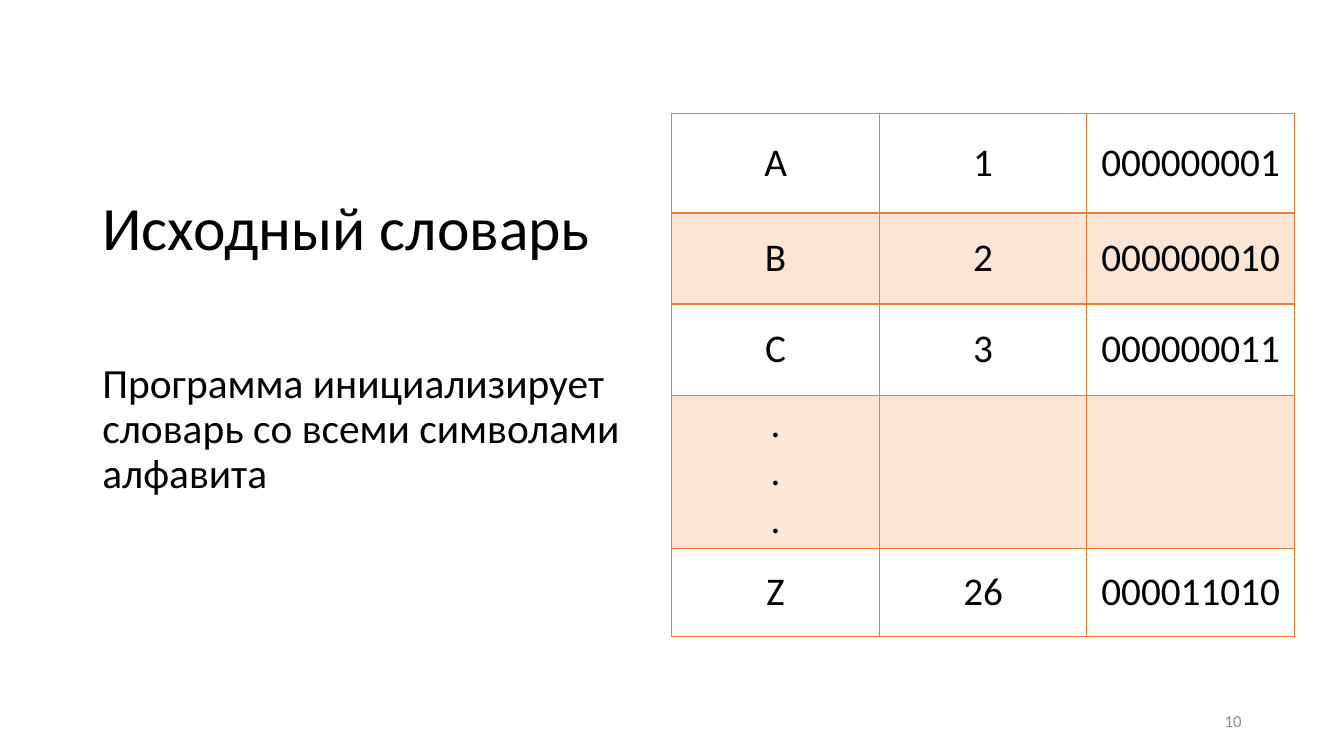
from dataclasses import dataclass

from lxml import etree
from pptx import Presentation
from pptx.dml.color import RGBColor
from pptx.enum.text import MSO_ANCHOR, PP_ALIGN
from pptx.oxml.ns import qn
from pptx.util import Cm, Pt

LEFT, CENTER, RIGHT = PP_ALIGN.LEFT, PP_ALIGN.CENTER, PP_ALIGN.RIGHT
TOP, MIDDLE = MSO_ANCHOR.TOP, MSO_ANCHOR.MIDDLE


@dataclass(frozen=True)
class Theme:
    font: str = "Calibri"
    text: str = "000000"
    muted: str = "8C8C8C"
    accent: str = "ED7D31"
    band_alpha: int = 20
    title_size: float = 44
    body_size: float = 29.6
    cell_size: float = 28
    number_size: float = 12
    rule: float = 1
    header_rule: float = 2


class SlideBuilder:
    def __init__(self, prs, theme):
        self.theme = theme
        self.s = prs.slides.add_slide(prs.slide_layouts[6])

    def style(self, p, size, color, align):
        p.alignment = align
        p.font.name = self.theme.font
        p.font.size = Pt(size)
        p.font.color.rgb = RGBColor.from_string(color)

    def text(self, text, left, top, width, height, size, color=None,
             align=LEFT, anchor=TOP, spacing=None):
        sp = self.s.shapes.add_textbox(Cm(left), Cm(top), Cm(width), Cm(height))
        tf = sp.text_frame
        tf.word_wrap = True
        tf.vertical_anchor = anchor
        p = tf.paragraphs[0]
        p.text = text
        p.line_spacing = spacing
        self.style(p, size, color or self.theme.text, align)

    def border(self, cell, side, width):
        tc_pr = cell._tc.get_or_add_tcPr()
        ln = etree.SubElement(tc_pr, qn(f"a:ln{side}"), w=str(Pt(width)))
        fill = etree.SubElement(ln, qn("a:solidFill"))
        etree.SubElement(fill, qn("a:srgbClr"), val=self.theme.accent)

    def band(self, cell):
        cell.fill.solid()
        cell.fill.fore_color.rgb = RGBColor.from_string(self.theme.accent)
        clr = cell._tc.tcPr.find(qn("a:solidFill")).find(qn("a:srgbClr"))
        etree.SubElement(clr, qn("a:alpha"), val=str(self.theme.band_alpha * 1000))

    def table(self, rows, left, top, col_width, heights):
        t = self.theme
        cols = len(rows[0])
        table = self.s.shapes.add_table(
            len(rows), cols, Cm(left), Cm(top),
            Cm(col_width * cols), Cm(sum(heights))).table
        table.first_row = table.horz_banding = False
        for col in table.columns:
            col.width = Cm(col_width)
        for i, values in enumerate(rows):
            table.rows[i].height = Cm(heights[i])
            for j, value in enumerate(values):
                cell = table.cell(i, j)
                cell.text = value
                cell.vertical_anchor = MIDDLE
                for p in cell.text_frame.paragraphs:
                    self.style(p, t.cell_size, t.text, CENTER)
                # The rule under the first row is heavier
                heavy = {0: "B", 1: "T"}.get(i)
                for side in "LRTB":
                    self.border(cell, side, t.header_rule if side == heavy else t.rule)
                if i % 2:
                    self.band(cell)
                else:
                    cell.fill.background()


def main():
    prs = Presentation()
    prs.slide_width, prs.slide_height = Cm(33.87), Cm(19.05)
    theme = Theme()
    slide = SlideBuilder(prs, theme)

    # Title and explanation
    slide.text("Исходный словарь", 2.33, 3.96, 13.2, 3.68,
               theme.title_size, anchor=MIDDLE, spacing=0.9)
    slide.text("Программа инициализирует словарь со всеми символами алфавита",
               2.33, 9.02, 13.6, 4.04, theme.body_size, spacing=0.9)

    # Initial dictionary: symbol, number, binary code
    rows = [
        ("A", "1", "000000001"),
        ("B", "2", "000000010"),
        ("C", "3", "000000011"),
        (".\n.\n.", "", ""),
        ("Z", "26", "000011010"),
    ]
    slide.table(rows, 16.93, 2.85, 5.23, [2.52, 2.29, 2.3, 3.86, 2.21])

    # Slide number
    slide.text("10", 23.92, 17.66, 7.62, 1.01, theme.number_size,
               theme.muted, RIGHT, MIDDLE)

    prs.save("out.pptx")


if __name__ == "__main__":
    main()
